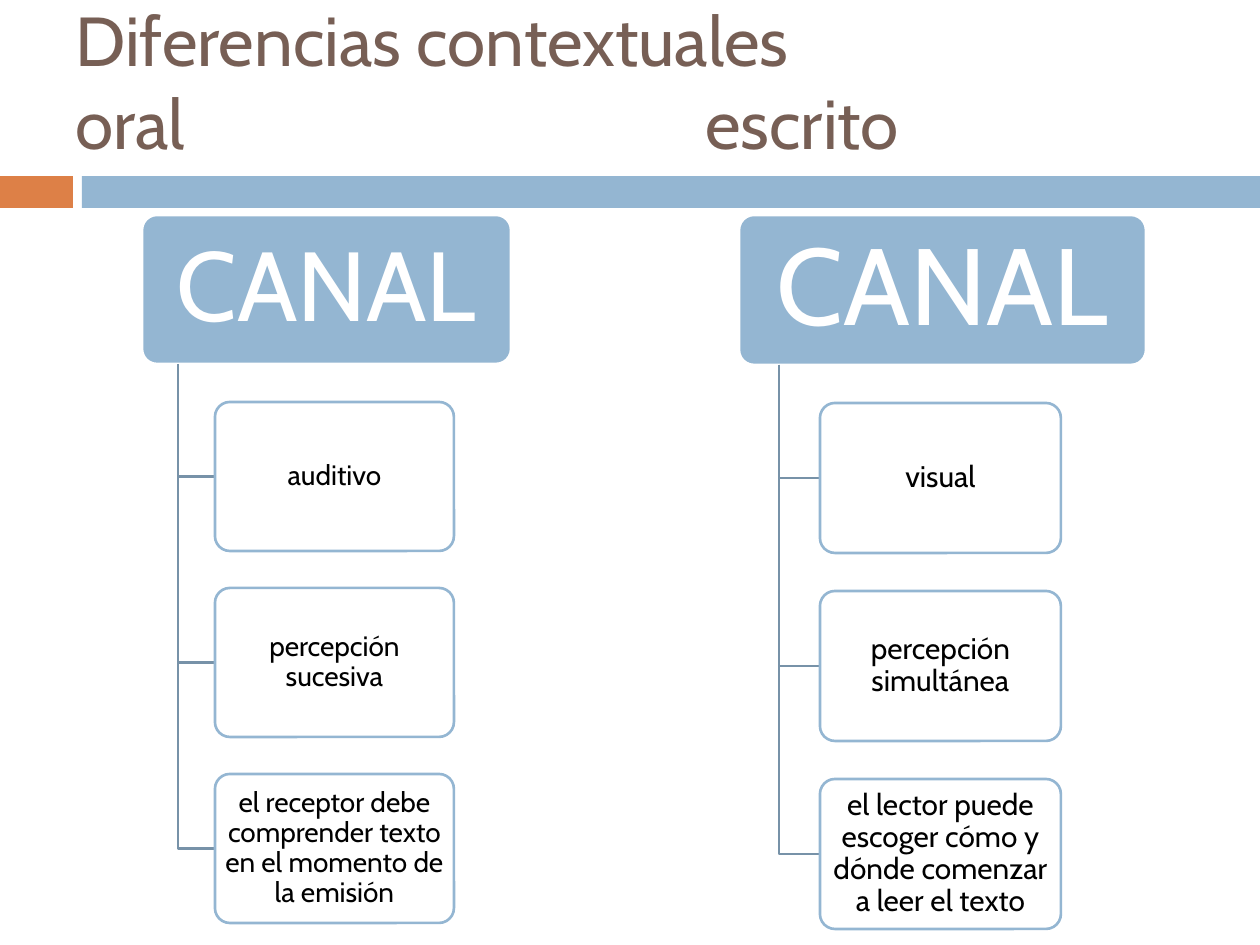
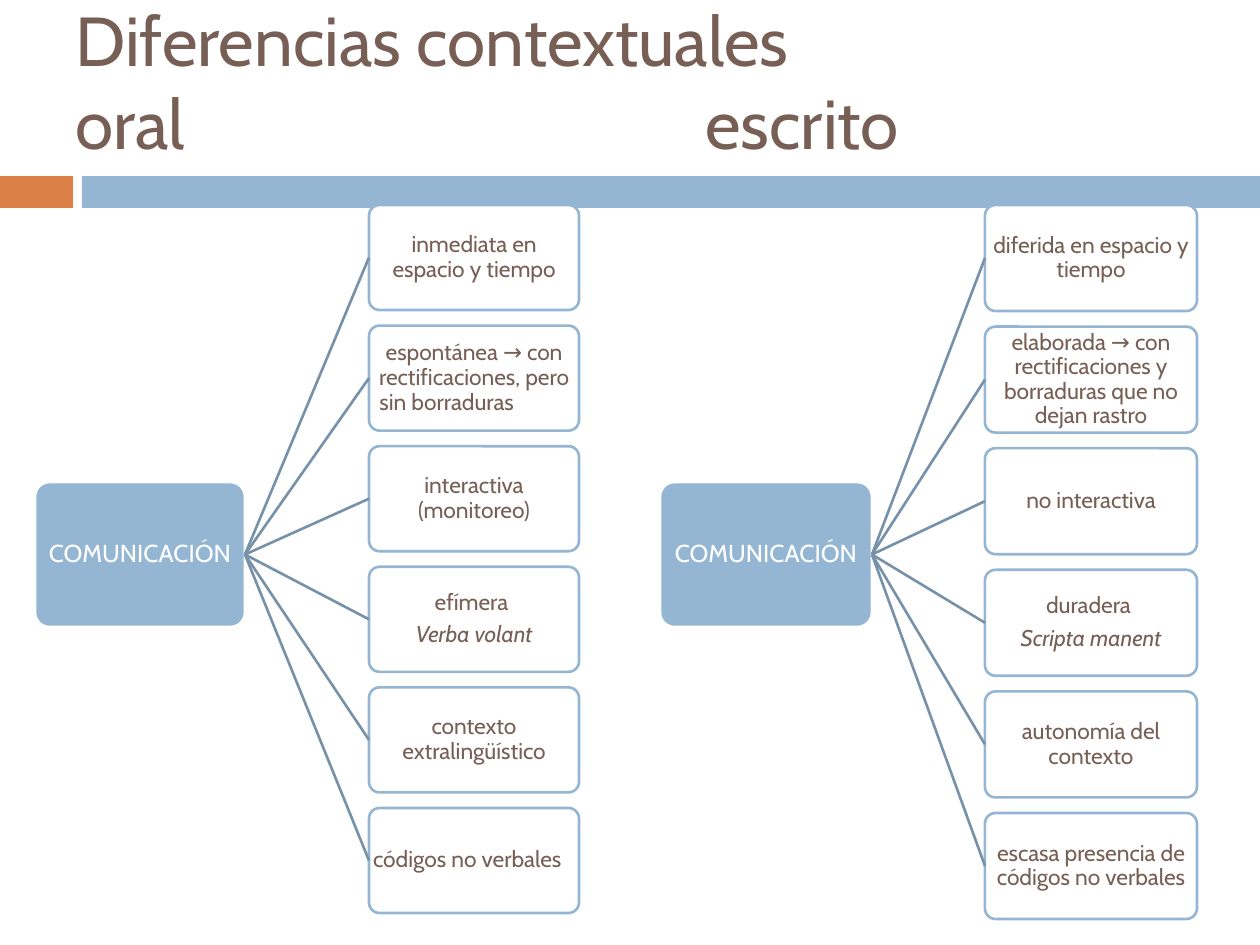
from itertools import chain

from pptx import Presentation
from pptx.dml.color import RGBColor
from pptx.enum.shapes import MSO_CONNECTOR, MSO_SHAPE
from pptx.enum.text import MSO_ANCHOR, PP_ALIGN
from pptx.oxml.ns import qn
from pptx.util import Emu, Pt

WHITE = RGBColor(0xFF, 0xFF, 0xFF)
BLACK = RGBColor(0, 0, 0)
BROWN = RGBColor(0x77, 0x5F, 0x55)
BLUE = RGBColor(0x94, 0xB6, 0xD2)
SLATE = RGBColor(0x77, 0x92, 0xA8)
ORANGE = RGBColor(0xDD, 0x80, 0x47)

FONT = "Cabin"
RECT = MSO_SHAPE.RECTANGLE
ROUND = MSO_SHAPE.ROUNDED_RECTANGLE
STRAIGHT = MSO_CONNECTOR.STRAIGHT
MIDDLE = MSO_ANCHOR.MIDDLE
CENTER = PP_ALIGN.CENTER
RIGHT, LEFT = 3, 1
STROKE = Pt(1.5)
SCALE = 914400 / 126

# Each tree: root box, root size, first leaf box, top of the last leaf,
# leaf size, leaf inset, leaves. A leaf is a list of (text, italic) paragraphs.
CANAL = [
    ((142, 215, 369, 149), 56, (215, 402, 239, 149), 774, 16, 4, [
        [("auditivo", False)],
        [("percepción sucesiva", False)],
        [("el receptor debe comprender texto en el momento de la emisión", False)],
    ]),
    ((739, 215, 407, 150), 62, (820, 403, 241, 150), 779, 17, 4, [
        [("visual", False)],
        [("percepción simultánea", False)],
        [("el lector puede escoger cómo y dónde comenzar a leer el texto", False)],
    ]),
]
COMUNICACION = [
    ((35, 482, 210, 145), 14, (369, 205, 210, 105), 808, 13, 1, [
        [("inmediata en espacio y tiempo", False)],
        [("espontánea → con rectificaciones, pero sin borraduras\t", False)],
        [("interactiva (monitoreo)", False)],
        [("efímera ", False), ("Verba volant", True)],
        [("contexto extralingüístico", False)],
        [("códigos no verbales\t\t", False)],
    ]),
    ((660, 482, 212, 145), 14, (985, 205, 212, 106), 813, 13, 1, [
        [("diferida en espacio y tiempo", False)],
        [("elaborada → con rectificaciones y borraduras que no dejan rastro", False)],
        [("no interactiva", False)],
        [("duradera ", False), ("Scripta manent", True)],
        [("autonomía del contexto", False)],
        [("escasa presencia de códigos no verbales", False)],
    ]),
]


def px(n):
    return Emu(round(n * SCALE))


def add_run(para, text, size, color, italic=False):
    run = para.add_run()
    run.text = text
    font = run.font
    font.name, font.size, font.italic = FONT, Pt(size), italic
    font.color.rgb = color


def add_shape(slide, kind, box, fill, line=None):
    shape = slide.shapes.add_shape(kind, *map(px, box))
    shape.shadow.inherit = False
    shape.fill.solid()
    shape.fill.fore_color.rgb = fill
    if line is None:
        shape.line.fill.background()
    else:
        shape.line.color.rgb = line
        shape.line.width = STROKE
    return shape


def add_node(slide, box, fill, line, paras, size, color, inset):
    """Rounded box with centred text."""
    node = add_shape(slide, ROUND, box, fill, line)
    node.adjustments[0] = 0.1
    frame = node.text_frame
    frame.word_wrap = True
    frame.vertical_anchor = MIDDLE
    frame.margin_left = frame.margin_right = px(inset)
    frame.margin_top = frame.margin_bottom = px(inset)
    for i, (text, italic) in enumerate(paras):
        para = frame.add_paragraph() if i else frame.paragraphs[0]
        para.alignment = CENTER
        para.line_spacing = 0.9
        if i:
            para.space_before = Pt(size * 0.35)
        add_run(para, text, size, color, italic)
    return node


def add_elbow(slide, root, leaf):
    """Line down from the root box, then across to the leaf box."""
    x, y, w, h = root
    stem, base = x + w // 10, y + h
    mid = leaf[1] + leaf[3] / 2
    pen = slide.shapes.build_freeform(px(stem), px(base), scale=1.0)
    pen.add_line_segments([(px(stem), px(mid)), (px(leaf[0]), px(mid))], close=False)
    elbow = pen.convert_to_shape()
    elbow.shadow.inherit = False
    elbow.fill.background()
    elbow.line.color.rgb = SLATE
    elbow.line.width = STROKE


def add_ray(slide, root, leaf):
    """Straight line from the root's right side to the leaf's left side."""
    ray = slide.shapes.add_connector(STRAIGHT, 0, 0, 0, 0)
    ray.begin_connect(root, RIGHT)
    ray.end_connect(leaf, LEFT)
    ray.line.color.rgb = SLATE
    ray.line.width = STROKE
    props = ray._element.spPr
    props.append(props.makeelement(qn("a:effectLst"), {}))


def add_tree(slide, label, color, elbows, tree):
    box, big, first, last, small, inset, leaves = tree
    root = add_node(slide, box, BLUE, WHITE, [(label, False)], big, WHITE, inset)
    x, top, w, h = first
    step = (last - top) / (len(leaves) - 1)
    for i, paras in enumerate(leaves):
        spot = (x, top + i * step, w, h)
        if elbows:
            add_elbow(slide, box, spot)
        leaf = add_node(slide, spot, WHITE, BLUE, paras, small, color, inset)
        if not elbows:
            add_ray(slide, root, leaf)


def add_title(slide):
    title = slide.shapes.add_textbox(*map(px, (63, 6, 1134, 149)))
    frame = title.text_frame
    frame.word_wrap = True
    frame.vertical_anchor = MIDDLE
    para = frame.paragraphs[0]
    props = para._p.get_or_add_pPr()
    tabs = props.makeelement(qn("a:tabLst"), {})
    stop = {"pos": str(px(630)), "algn": "l"}
    tabs.append(tabs.makeelement(qn("a:tab"), stop))
    props.append(tabs)
    add_run(para, "Diferencias contextuales", 39.6, BROWN)
    para.add_line_break()
    add_run(para, "oral\tescrito", 39.6, BROWN)


def add_page(deck, label, color, elbows, trees):
    slide = deck.slides.add_slide(deck.slide_layouts[6])
    add_shape(slide, RECT, (0, 176, 73, 32), ORANGE)
    add_shape(slide, RECT, (82, 176, 1178, 32), BLUE)
    add_title(slide)
    for tree in trees:
        add_tree(slide, label, color, elbows, tree)


def main():
    deck = Presentation()
    deck.slide_width, deck.slide_height = px(1260), px(945)
    add_page(deck, "CANAL", BLACK, True, CANAL)
    add_page(deck, "COMUNICACIÓN", BROWN, False, COMUNICACION)
    deck.save("out.pptx")


if __name__ == "__main__":
    main()
